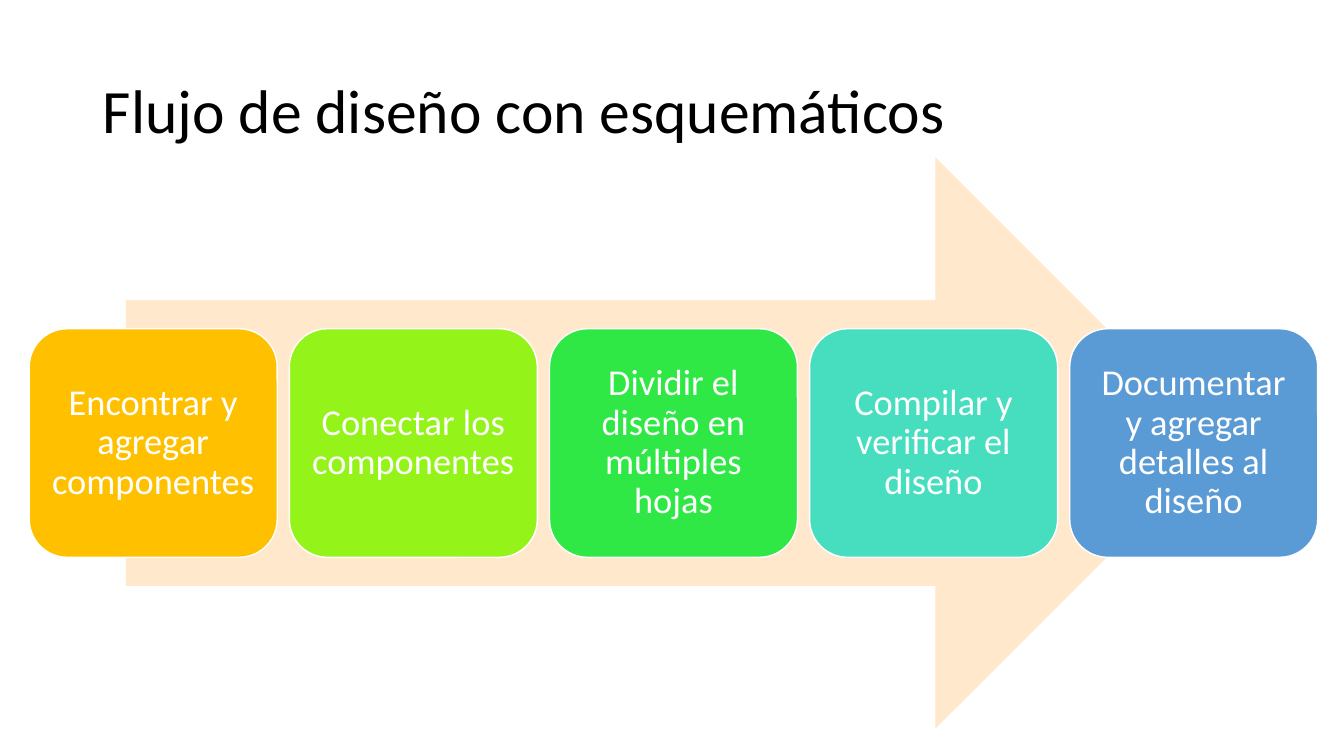
from pptx import Presentation
from pptx.dml.color import RGBColor
from pptx.enum.shapes import MSO_SHAPE
from pptx.enum.text import MSO_ANCHOR, PP_ALIGN
from pptx.util import Inches, Pt

RIGHT_ARROW = MSO_SHAPE.RIGHT_ARROW
ROUNDED_RECTANGLE = MSO_SHAPE.ROUNDED_RECTANGLE
MIDDLE = MSO_ANCHOR.MIDDLE
LEFT, CENTER = PP_ALIGN.LEFT, PP_ALIGN.CENTER

BLACK = RGBColor(0x00, 0x00, 0x00)
WHITE = RGBColor(0xFF, 0xFF, 0xFF)
PEACH = RGBColor(0xFF, 0xE8, 0xCC)
AMBER = RGBColor(0xFF, 0xC0, 0x00)
LIME = RGBColor(0x94, 0xF3, 0x19)
GREEN = RGBColor(0x30, 0xE8, 0x45)
TURQUOISE = RGBColor(0x46, 0xDE, 0xBF)
BLUE = RGBColor(0x5B, 0x9B, 0xD5)

FONT_NAME = "Calibri"
TITLE_ONLY_LAYOUT = 5
STEP_GAP = 0.12
STEPS = [
    ("Encontrar y agregar componentes", AMBER),
    ("Conectar los componentes", LIME),
    ("Dividir el diseño en múltiples hojas", GREEN),
    ("Compilar y verificar el diseño", TURQUOISE),
    ("Documentar y agregar detalles al diseño", BLUE),
]


def write_text(shape, text, size, color, alignment):
    """Write one vertically centred paragraph in a shape."""
    frame = shape.text_frame
    frame.word_wrap = True
    frame.vertical_anchor = MIDDLE
    paragraph = frame.paragraphs[0]
    paragraph.alignment = alignment
    paragraph.line_spacing = 0.9
    run = paragraph.add_run()
    run.text = text
    run.font.name = FONT_NAME
    run.font.size = Pt(size)
    run.font.color.rgb = color


def add_title(slide, text, left, top, width, height):
    """Place and fill the title placeholder."""
    title = slide.shapes.title
    title.left, title.top = Inches(left), Inches(top)
    title.width, title.height = Inches(width), Inches(height)
    write_text(title, text, 44, BLACK, LEFT)


def add_filled_shape(slide, kind, fill, left, top, width, height):
    """Add a flat preset shape without outline."""
    shape = slide.shapes.add_shape(
        kind, Inches(left), Inches(top), Inches(width), Inches(height)
    )
    shape.shadow.inherit = False
    shape.fill.solid()
    shape.fill.fore_color.rgb = fill
    shape.line.fill.background()
    return shape


def add_step(slide, text, fill, left, top, width, height):
    """Add one rounded step card."""
    card = add_filled_shape(slide, ROUNDED_RECTANGLE, fill, left, top, width, height)
    card.line.color.rgb = WHITE
    card.line.width = Pt(1)
    frame = card.text_frame
    frame.margin_left = frame.margin_right = Inches(0.1)
    frame.margin_top = frame.margin_bottom = Inches(0.1)
    write_text(card, text, 26, WHITE, CENTER)


def add_process(slide, steps, left, top, width, height):
    """Add the arrow and a centred row of equal step cards over it."""
    arrow_width = width * 0.85
    arrow_left = left + (width - arrow_width) / 2
    add_filled_shape(slide, RIGHT_ARROW, PEACH, arrow_left, top, arrow_width, height)
    step_width = (width - STEP_GAP * (len(steps) - 1)) / len(steps)
    step_height = height * 0.4
    step_top = top + (height - step_height) / 2
    for index, (text, fill) in enumerate(steps):
        step_left = left + index * (step_width + STEP_GAP)
        add_step(slide, text, fill, step_left, step_top, step_width, step_height)


def main():
    """Build and save the design flow slide."""
    presentation = Presentation()
    presentation.slide_width = Inches(13.33)
    presentation.slide_height = Inches(7.5)
    layout = presentation.slide_layouts[TITLE_ONLY_LAYOUT]
    slide = presentation.slides.add_slide(layout)
    add_title(slide, "Flujo de diseño con esquemáticos", 0.92, 0.4, 11.5, 1.45)
    add_process(slide, STEPS, 0.29, 1.56, 12.78, 5.67)
    presentation.save("out.pptx")


if __name__ == "__main__":
    main()
